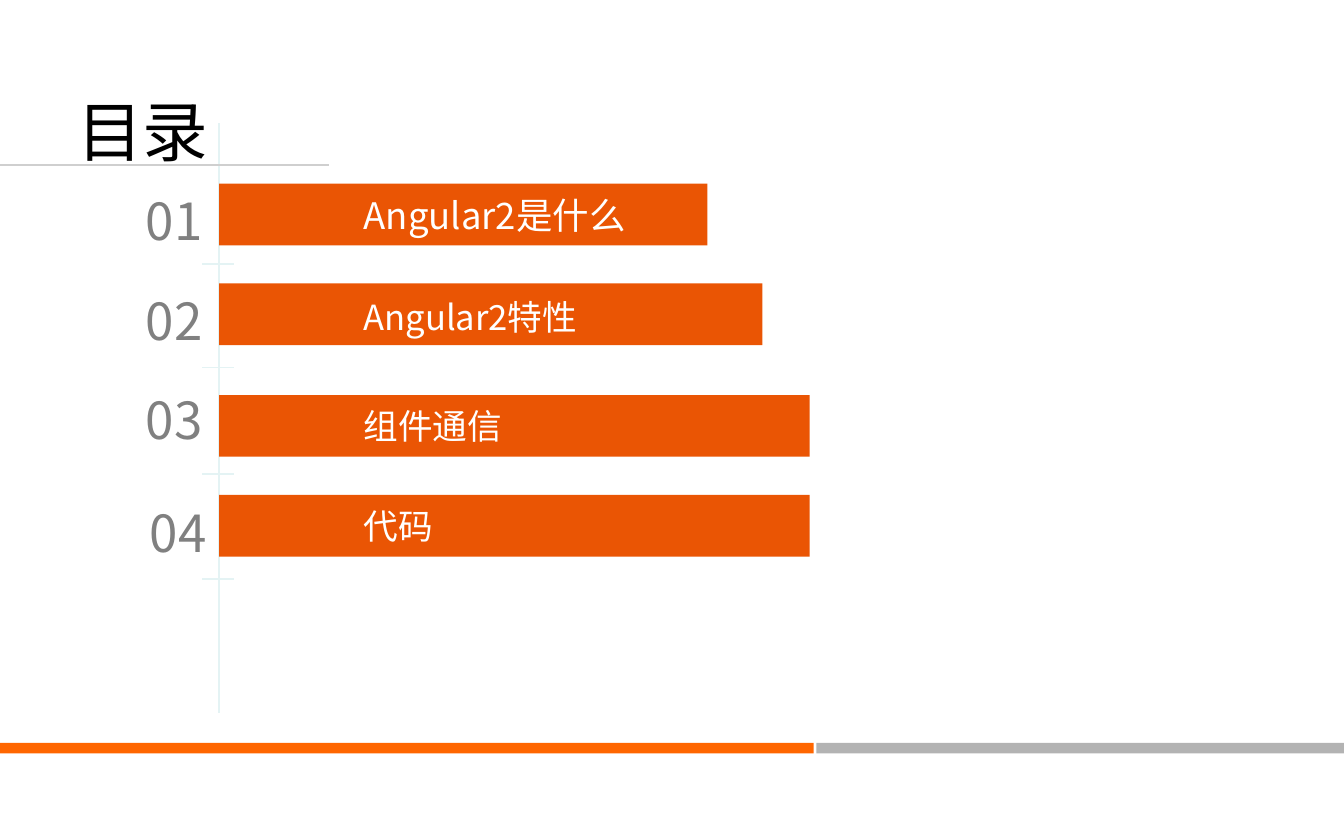
import pptx
import pptx.util
import pptx.dml.color
import pptx.enum.shapes
import pptx.enum.text
import pptx.oxml.ns
import lxml.etree

# Content
TITLE = "目录"
# number, its left and top; label, its size and line spacing; bar top and width
ITEMS = [
    ("01", 62, 130, "Angular2是什么", 20, 1.0, 140, 372),
    ("02", 62, 206, "Angular2特性", 19, 1.1, 216, 414),
    ("03", 62, 282, "组件通信", 19, 1.0, 301, 450),
    ("04", 65, 368, "代码", 19, 1.0, 377, 450),
]
TICKS = [201, 280, 361, 441]
FOOTER = [("footer_orange", 0, 620), ("footer_grey", 622, 402)]

FONT = "Noto Sans CJK SC"
COLORS = {
    "bar": "EA5504", "label": "FFFFFF", "number": "808080", "title": "000000",
    "axis": "E4F3F4", "rule": "CFCFCF",
    "footer_orange": "FF6600", "footer_grey": "B3B3B3",
}
PX = 9144  # 100 px to the inch
AXIS_X, BAR_H, LABEL_INDENT = 167, 47, 110
ALIGN = pptx.enum.text.PP_ALIGN
ANCHOR = pptx.enum.text.MSO_ANCHOR

prs = pptx.Presentation()
prs.slide_width, prs.slide_height = 1024 * PX, 630 * PX
s = prs.slides.add_slide(prs.slide_layouts[6])


def rgb(name):
    return pptx.dml.color.RGBColor.from_string(COLORS[name])


def box(*place):
    return [v * PX for v in place]


def add_line(x1, y1, x2, y2, color):
    line = s.shapes.add_connector(
        pptx.enum.shapes.MSO_CONNECTOR.STRAIGHT, *box(x1, y1, x2, y2))
    line.line.color.rgb = rgb(color)
    line.line.width = pptx.util.Pt(1)
    lxml.etree.SubElement(line._element.spPr, pptx.oxml.ns.qn("a:effectLst"))


def add_rect(x, y, w, h, color):
    sp = s.shapes.add_shape(
        pptx.enum.shapes.MSO_SHAPE.RECTANGLE, *box(x, y, w, h))
    sp.shadow.inherit = False
    sp.fill.solid()
    sp.fill.fore_color.rgb = rgb(color)
    sp.line.fill.background()
    return sp


def set_text(sp, text, size, color, align=ALIGN.LEFT, spacing=1.0,
             anchor=ANCHOR.TOP):
    tf = sp.text_frame
    tf.word_wrap = True
    tf.vertical_anchor = anchor
    p = tf.paragraphs[0]
    p.alignment, p.line_spacing = align, spacing
    r = p.add_run()
    r.text = text
    p.font.size = pptx.util.Pt(size)
    p.font.name = FONT
    p.font.color.rgb = rgb(color)
    # East Asian characters take their own typeface
    ea = lxml.etree.SubElement(p.font._element, pptx.oxml.ns.qn("a:ea"))
    ea.set("typeface", FONT)
    return tf


# Footer band
for color, x, w in FOOTER:
    add_rect(x, 566, w, 8, color)

# Vertical axis and ticks
add_line(AXIS_X, 94, AXIS_X, 543, "axis")
for y in TICKS:
    add_line(154, y, 178, y, "axis")

# Title and rule
set_text(s.shapes.add_textbox(*box(49, 64, 362, 59)), TITLE, 36, "title")
add_line(0, 126, 251, 126, "rule")

# Numbered bars
for number, num_x, num_y, label, size, spacing, bar_y, bar_w in ITEMS:
    tf = set_text(s.shapes.add_textbox(*box(num_x, num_y, 102, 66)),
                  number, 28, "number", ALIGN.RIGHT, 1.2)
    tf.auto_size = pptx.enum.text.MSO_AUTO_SIZE.SHAPE_TO_FIT_TEXT
    tf = set_text(add_rect(AXIS_X, bar_y, bar_w, BAR_H, "bar"),
                  label, size, "label", spacing=spacing, anchor=ANCHOR.MIDDLE)
    tf.margin_left = LABEL_INDENT * PX

prs.save("out.pptx")
